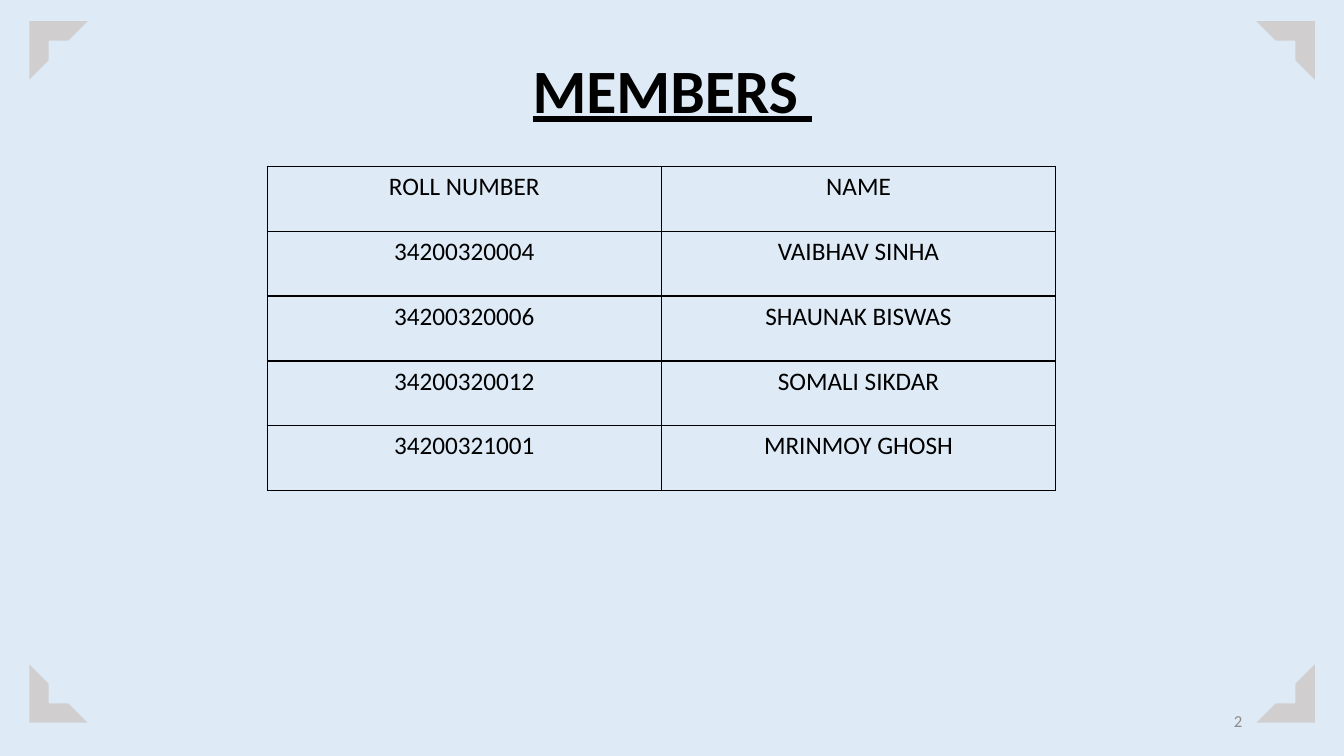
from lxml import etree
from pptx import Presentation
from pptx import util as u
from pptx.dml.color import RGBColor
from pptx.enum import shapes, text
from pptx.oxml.ns import qn

deck = Presentation()
deck.slide_width, deck.slide_height = wide, high = u.Inches(13.33), u.Inches(7.5)
slide = deck.slides.add_slide(deck.slide_layouts[6])


def paint(fill, code):
    fill.solid()
    fill.fore_color.rgb = RGBColor.from_string(code)


def write(frame, words, size, code, align):
    frame.word_wrap = True
    para = frame.paragraphs[0]
    para.text = words
    para.alignment = align
    para.font.name = "Calibri"
    para.font.size = u.Pt(size)
    paint(para.font.fill, code)
    return para


paint(slide.background.fill, "DEEBF7")

title = slide.shapes.add_textbox(u.Inches(3.28), u.Inches(0.2), u.Inches(6.78), u.Inches(1.45))
title.text_frame.vertical_anchor = text.MSO_ANCHOR.MIDDLE
head = write(title.text_frame, "MEMBERS ", 44, "000000", text.PP_ALIGN.CENTER)
head.line_spacing = 0.9
head.font.bold = head.font.underline = True

people = [
    ("ROLL NUMBER", "NAME"),
    ("34200320004", "VAIBHAV SINHA"),
    ("34200320006", "SHAUNAK BISWAS"),
    ("34200320012", "SOMALI SIKDAR"),
    ("34200321001", "MRINMOY GHOSH"),
]
table = slide.shapes.add_table(
    len(people), 2, u.Inches(2.65), u.Inches(1.65), u.Inches(7.82), u.Inches(3.22)
).table
table.first_row = table.horz_banding = False
for row, person in enumerate(people):
    for col, words in enumerate(person):
        cell = table.cell(row, col)
        write(cell.text_frame, words, 18, "000000", text.PP_ALIGN.CENTER)
        props = cell._tc.get_or_add_tcPr()
        for side in ("a:lnL", "a:lnR", "a:lnT", "a:lnB"):
            line = etree.SubElement(props, qn(side), w=str(u.Pt(1)))
            ink = etree.SubElement(line, qn("a:solidFill"))
            etree.SubElement(ink, qn("a:srgbClr"), val="000000")
        cell.fill.background()

number = slide.shapes.add_textbox(u.Inches(9.42), u.Inches(6.95), u.Inches(3), u.Inches(0.4))
number.text_frame.vertical_anchor = text.MSO_ANCHOR.MIDDLE
write(number.text_frame, "2", 12, "8C8C8C", text.PP_ALIGN.RIGHT)

side = u.Inches(0.58)
left, top = u.Inches(0.29), u.Inches(0.21)
right, low = wide - left - side, u.Inches(6.59)
corners = [(left, top), (right, top), (right, low), (left, low)]
for turn, (x, y) in enumerate(corners):
    frame = slide.shapes.add_shape(shapes.MSO_SHAPE.HALF_FRAME, x, y, side, side)
    frame.rotation = 90 * turn
    frame.shadow.inherit = False
    paint(frame.fill, "D0CECE")
    frame.line.fill.background()

deck.save("out.pptx")
